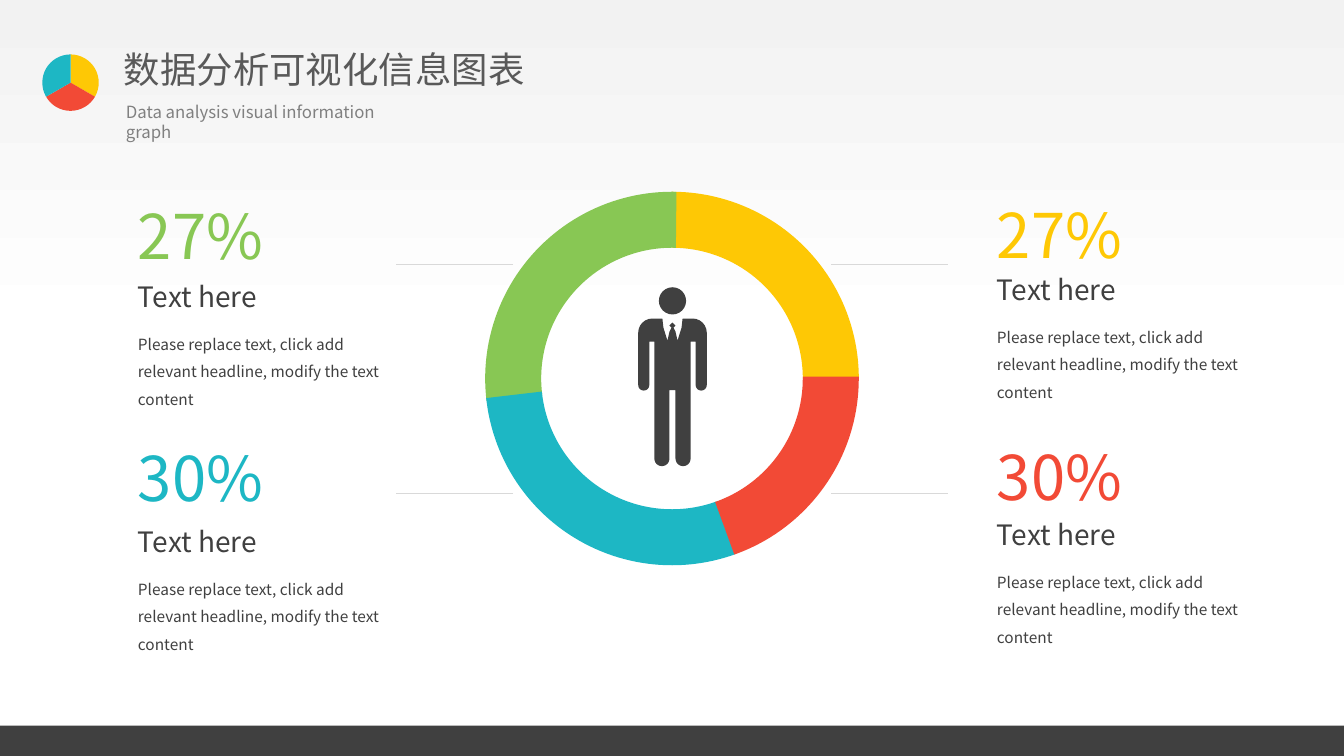
import math
import pptx
import pptx.util
import pptx.dml.color
import pptx.enum.shapes
import pptx.enum.text
import pptx.oxml.ns
import lxml.etree

inch = pptx.util.Inches
kinds = pptx.enum.shapes.MSO_SHAPE
hues = {"gold": "FEC805", "red": "F24A36", "teal": "1DB7C4", "green": "88C754",
        "dark": "404040", "title": "595959", "sub": "808080", "rule": "D9D9D9",
        "top": "F2F2F2", "white": "FFFFFF"}
tint = {name: pptx.dml.color.RGBColor.from_string(code) for name, code in hues.items()}
wide, high = 13.33, 7.5

deck = pptx.Presentation()
deck.slide_width, deck.slide_height = inch(wide), inch(high)
slide = deck.slides.add_slide(deck.slide_layouts[6])
shapes = slide.shapes


def write(text, box, size, hue, space=1.0, middle=False):
    frame = shapes.add_textbox(*map(inch, box)).text_frame
    frame.word_wrap = True
    if middle:
        frame.vertical_anchor = pptx.enum.text.MSO_ANCHOR.MIDDLE
    para = frame.paragraphs[0]
    para.text = text
    para.line_spacing = space
    para.font.size = pptx.util.Pt(size)
    para.font.name = "Noto Sans CJK SC"
    para.font.color.rgb = tint[hue]
    # East Asian glyphs take the same font
    props = para.font._element
    east = lxml.etree.SubElement(props, pptx.oxml.ns.qn("a:ea"))
    east.set("typeface", "Noto Sans CJK SC")


def paint(shape, hue):
    shape.shadow.inherit = False
    shape.fill.solid()
    shape.fill.fore_color.rgb = tint[hue]
    shape.line.fill.background()


# Background fades from grey to white
fill = slide.background.fill
fill.gradient()
fill.gradient_angle = 270
for stop, hue, place in zip(fill.gradient_stops, ("top", "white"), (0, 0.44)):
    stop.color.rgb = tint[hue]
    stop.position = place

# Header: three-part pie, title and subtitle
for part, hue in enumerate(("gold", "red", "teal")):
    wedge = shapes.add_shape(kinds.PIE, *map(inch, (0.42, 0.54, 0.56, 0.56)))
    start = (270 + 120 * part) % 360
    for side, angle in enumerate((start, (start + 120) % 360)):
        wedge.adjustments[side] = angle * 0.6
    paint(wedge, hue)
write("数据分析可视化信息图表", (1.13, 0.42, 4.28, 0.54), 26, "title")
write("Data analysis visual information graph", (1.15, 0.96, 3.09, 0.3), 12, "sub")

# Footer band
band = shapes.add_shape(kinds.RECTANGLE, 0, inch(0.96 * high), inch(wide), inch(0.04 * high))
paint(band, "dark")

# Ring of four arcs, angles clockwise from the right
ring = 3.15
left, top = (wide - ring) / 2, 2.18
arcs = (("gold", 270, 0), ("green", 172.91, 271.5),
        ("teal", 70.18, 174.09), ("red", 359.34, 70.61))
for hue, *ends in arcs:
    arc = shapes.add_shape(kinds.ARC, *map(inch, (left, top, ring, ring)))
    arc.shadow.inherit = False
    arc.fill.background()
    arc.line.color.rgb = tint[hue]
    arc.line.width = pptx.util.Pt(40)
    for side, angle in enumerate(ends):
        arc.adjustments[side] = angle * 0.6

# Guide lines beside the ring
for start in (left, left + ring + 1.16):
    for row in (2.62, 4.89):
        rule = shapes.add_connector(pptx.enum.shapes.MSO_CONNECTOR.STRAIGHT,
                                    *map(inch, (start, row, start - 1.16, row)))
        rule.line.color.rgb = tint["rule"]
        rule.line.width = pptx.util.Pt(0.5)
        lxml.etree.SubElement(rule._element.spPr, pptx.oxml.ns.qn("a:effectLst"))

# Figure: right half from tie to leg, then its mirror
mid = 6.67
half = [(0, 3.2), (0.03, 3.23), (0.01, 3.25), (0.03, 3.29), (0.05, 3.38), (0.09, 3.25), (0.1, 3.16)]
# Shoulder, hand and foot: centre, radius, first and last angle
bends = (((0.2, 3.3), 0.14, -90, 0), ((0.285, 3.82), 0.055, 0, 180),
         ((0.105, 4.55), 0.075, 0, 180))
links = ([], [(0.23, 3.39), (0.18, 3.39)], [(0.03, 3.87)])
for ((x, y), size, first, last), link in zip(bends, links):
    for angle in range(first, last + 1, 15):
        turn = math.radians(angle)
        half.append((x + size * math.cos(turn), y + size * math.sin(turn)))
    half += link
outline = [(mid + x, y) for x, y in half] + [(mid - x, y) for x, y in reversed(half[1:])]
# The pen counts in whole thousandths of an inch
points = [(round(1000 * x), round(1000 * y)) for x, y in outline]
pen = shapes.build_freeform(*points[0], scale=inch(1) / 1000)
pen.add_line_segments(points[1:], close=True)
paint(pen.convert_to_shape(), "dark")
head = shapes.add_shape(kinds.OVAL, *map(inch, (mid - 0.135, 2.85, 0.27, 0.27)))
paint(head, "dark")

# Four figures with heading and body
sides = ((1.27, 1.55, 2.7, ("green", "teal")), (9.79, 1.54, 2.63, ("gold", "red")))
for x, y, below, pair in sides:
    for row, (hue, share) in enumerate(zip(pair, ("27%", "30%"))):
        line = below + 2.43 * row
        write(share, (x, y + 2.4 * row, 1.47, 1.09), 44, hue, 1.5)
        write("Text here", (x, line, 2.73, 0.48), 20, "dark", middle=True)
        write("Please replace text, click add relevant headline, modify the text content",
              (x, line + 0.48, 2.73, 0.91), 11, "dark", 1.5)

deck.save("out.pptx")
